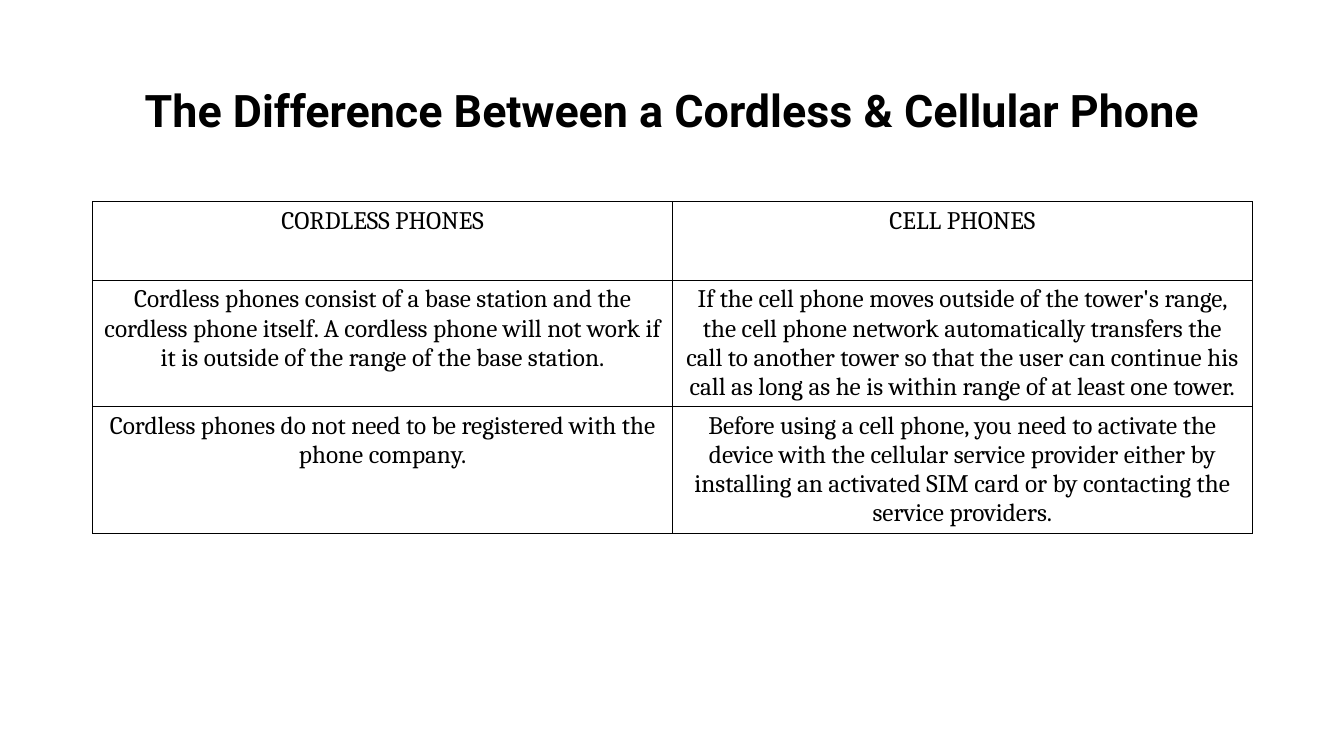
from dataclasses import dataclass

from lxml.etree import SubElement
from pptx import Presentation
from pptx.dml.color import RGBColor
from pptx.enum.text import MSO_ANCHOR, PP_ALIGN
from pptx.oxml.ns import qn
from pptx.util import Inches, Pt


@dataclass(frozen=True)
class Theme:
    ink: str = "000000"
    background: str = "FFFFFF"
    title_font: str = "Roboto"
    body_font: str = "Cambria"
    title_size: int = 32
    body_size: int = 18
    border_width: int = 1


class SlideBuilder:
    """Hold the theme and current slide and add styled elements to it."""

    def __init__(self, presentation, theme):
        self.theme = theme
        self.slide = presentation.slides.add_slide(presentation.slide_layouts[5])
        fill = self.slide.background.fill
        fill.solid()
        fill.fore_color.rgb = RGBColor.from_string(theme.background)

    def add_run(self, paragraph, text, font_name, size, bold=False):
        paragraph.alignment = PP_ALIGN.CENTER
        run = paragraph.add_run()
        run.text = text
        run.font.name = font_name
        run.font.size = Pt(size)
        run.font.bold = bold
        run.font.color.rgb = RGBColor.from_string(self.theme.ink)

    def add_title(self, text, left, top, width, height):
        title = self.slide.shapes.title
        title.left, title.top = Inches(left), Inches(top)
        title.width, title.height = Inches(width), Inches(height)
        frame = title.text_frame
        frame.word_wrap = True
        frame.vertical_anchor = MSO_ANCHOR.MIDDLE
        paragraph = frame.paragraphs[0]
        paragraph.line_spacing = 0.9
        self.add_run(paragraph, text, self.theme.title_font, self.theme.title_size, True)

    def add_table(self, rows, left, top, width, row_height):
        table = self.slide.shapes.add_table(
            len(rows), len(rows[0]), Inches(left), Inches(top),
            Inches(width), Inches(row_height * len(rows)),
        ).table
        table.first_row = False
        table.horz_banding = False
        for row_index, texts in enumerate(rows):
            for column_index, text in enumerate(texts):
                cell = table.cell(row_index, column_index)
                self.add_borders(cell)
                cell.fill.background()
                paragraph = cell.text_frame.paragraphs[0]
                self.add_run(paragraph, text, self.theme.body_font, self.theme.body_size)

    def add_borders(self, cell):
        properties = cell._tc.get_or_add_tcPr()
        for side in ("lnL", "lnR", "lnT", "lnB"):
            line = SubElement(properties, qn(f"a:{side}"), w=str(Pt(self.theme.border_width)))
            fill = SubElement(line, qn("a:solidFill"))
            SubElement(fill, qn("a:srgbClr"), val=self.theme.ink)


def main():
    presentation = Presentation()
    presentation.slide_width = Inches(13.33)
    presentation.slide_height = Inches(7.5)
    builder = SlideBuilder(presentation, Theme())

    left, width = 0.92, 11.5
    builder.add_title(
        "The Difference Between a Cordless & Cellular Phone", left, 0.4, width, 1.45
    )
    comparison = [
        ("CORDLESS PHONES", "CELL PHONES"),
        (
            "Cordless phones consist of a base station and the cordless phone itself. "
            "A cordless phone will not work if it is outside of the range of the base station.",
            "If the cell phone moves outside of the tower's range, the cell phone network "
            "automatically transfers the call to another tower so that the user can continue "
            "his call as long as he is within range of at least one tower.",
        ),
        (
            "Cordless phones do not need to be registered with the phone company.",
            "Before using a cell phone, you need to activate the device with the cellular "
            "service provider either by installing an activated SIM card or by contacting "
            "the service providers.",
        ),
    ]
    builder.add_table(comparison, left, 2, width, 0.78)
    presentation.save("out.pptx")


if __name__ == "__main__":
    main()
